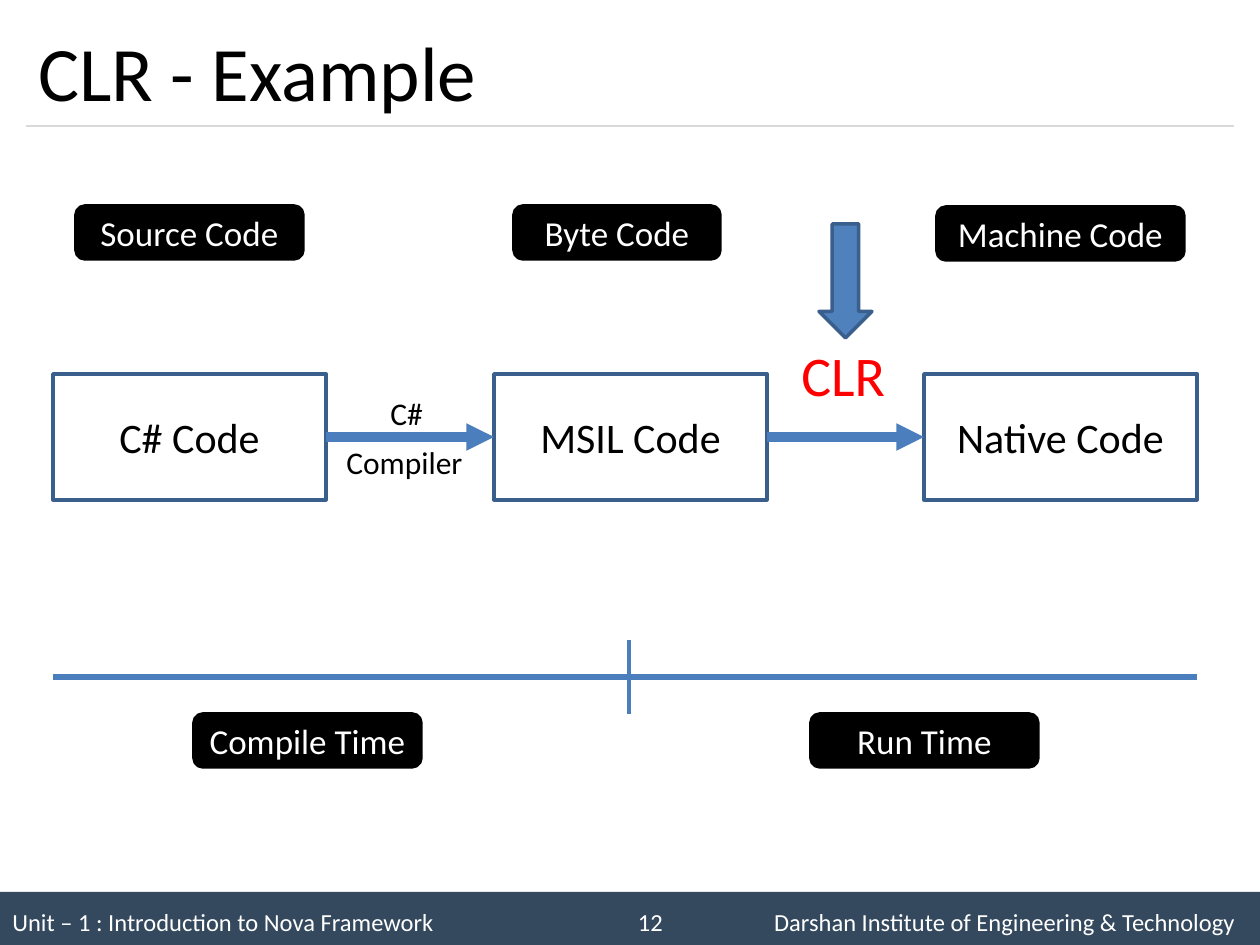
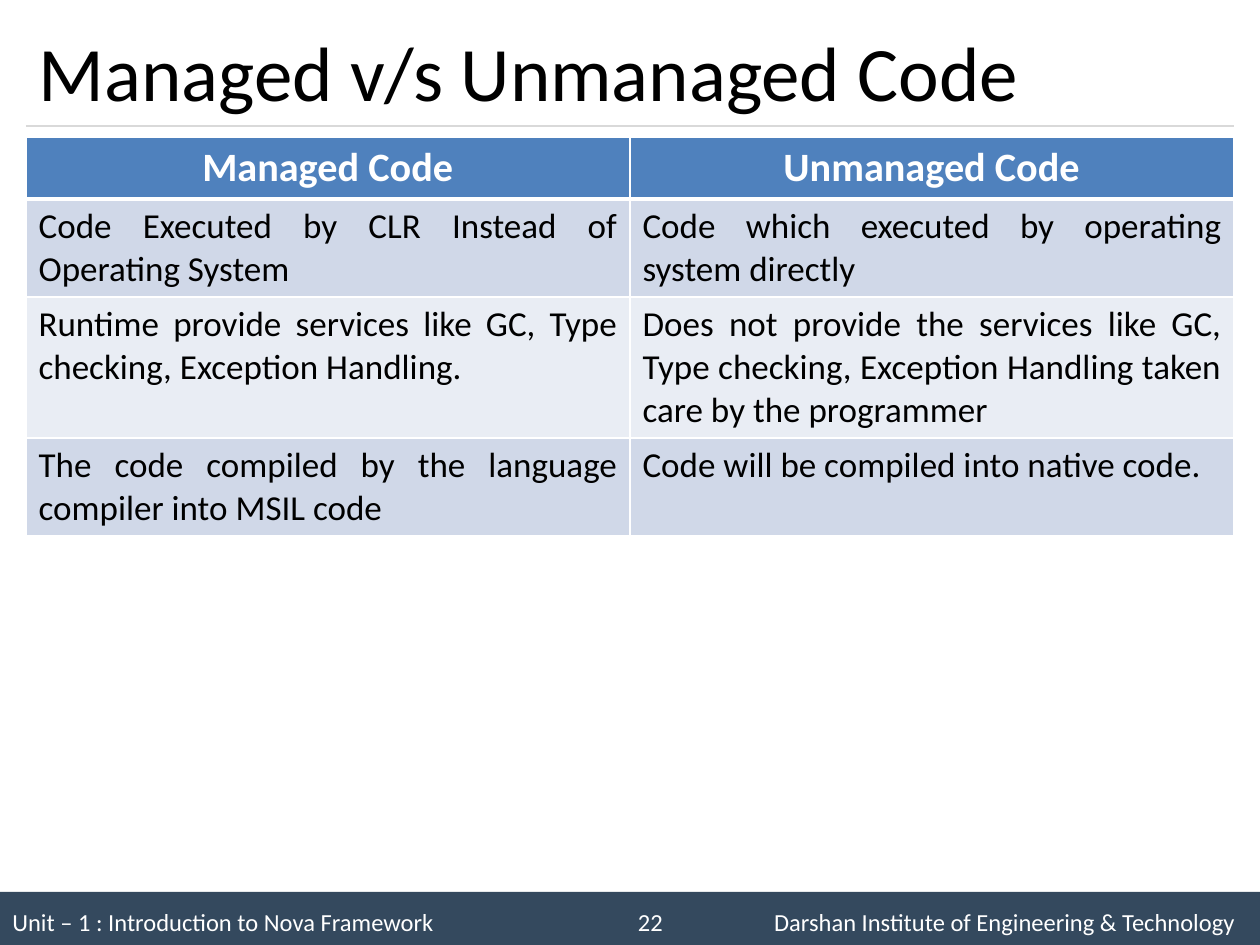
import pptx
import pptx.util
import pptx.dml.color
import pptx.enum.shapes
import pptx.enum.text
import pptx.oxml
import pptx.oxml.ns
from lxml import etree

PX = 914400 // 126  # one px in EMU
RGBColor = pptx.dml.color.RGBColor
BLACK = RGBColor(0x00, 0x00, 0x00)
WHITE = RGBColor(0xFF, 0xFF, 0xFF)
RED = RGBColor(0xFF, 0x00, 0x00)
SLATE = RGBColor(0x34, 0x49, 0x5E)
RULE_GREY = RGBColor(0xD9, 0xD9, 0xD9)
BLUE = RGBColor(0x4F, 0x81, 0xBD)
LINE_BLUE = RGBColor(0x4B, 0x7E, 0xBC)
EDGE_BLUE = RGBColor(0x3A, 0x5F, 0x8C)
BAND_DARK = RGBColor(0xD0, 0xD8, 0xE8)
BAND_LIGHT = RGBColor(0xE9, 0xED, 0xF4)

SHAPE = pptx.enum.shapes.MSO_SHAPE
ALIGN = pptx.enum.text.PP_ALIGN
ANCHOR = pptx.enum.text.MSO_ANCHOR
qn = pptx.oxml.ns.qn


def write_text(frame, text, size, color=BLACK, bold=False, align=ALIGN.LEFT,
               anchor=ANCHOR.TOP, wrap=True, tabs=()):
    frame.word_wrap = wrap
    frame.vertical_anchor = anchor
    para = frame.paragraphs[0]
    para.alignment = align
    if tabs:
        tab_list = etree.SubElement(para._p.get_or_add_pPr(), qn("a:tabLst"))
        for position, kind in tabs:
            etree.SubElement(tab_list, qn("a:tab"), pos=str(position * PX), algn=kind)
    span = para.add_run()
    span.text = text
    span.font.name = "Calibri"
    span.font.size = pptx.util.Pt(size)
    span.font.bold = bold
    span.font.color.rgb = color


def draw_line(slide, start, end, color, width, arrow=False):
    line = slide.shapes.add_connector(
        pptx.enum.shapes.MSO_CONNECTOR.STRAIGHT, *(n * PX for n in start + end))
    line.line.color.rgb = color
    line.line.width = pptx.util.Pt(width)
    if arrow:
        etree.SubElement(line.line._get_or_add_ln(), qn("a:tailEnd"), type="triangle")
    etree.SubElement(line._element.spPr, qn("a:effectLst"))


deck = pptx.Presentation()
deck.slide_width = 1260 * PX
deck.slide_height = 945 * PX

# Shared footer band, title rule and title
pages = []
for number, title in ((12, "CLR - Example"), (22, "Managed v/s Unmanaged Code")):
    page = deck.slides.add_slide(deck.slide_layouts[6])
    footer = page.shapes.add_shape(SHAPE.RECTANGLE, 0, 892 * PX, 1260 * PX, 53 * PX)
    footer.shadow.inherit = False
    footer.fill.solid()
    footer.fill.fore_color.rgb = SLATE
    footer.line.fill.background()
    footer.text_frame.margin_top = 12 * PX
    write_text(footer.text_frame,
               f"Unit – 1 : Introduction to Nova Framework\t{number}"
               "\tDarshan Institute of Engineering & Technology",
               size=14, color=WHITE, anchor=ANCHOR.MIDDLE,
               tabs=((638, "ctr"), (1223, "r")))
    draw_line(page, (26, 126), (1234, 126), RULE_GREY, 0.75)
    heading = page.shapes.add_textbox(26 * PX, 15 * PX, 1208 * PX, 111 * PX)
    write_text(heading.text_frame, title, size=44, anchor=ANCHOR.MIDDLE)
    pages.append(page)
example_page, comparison_page = pages

# Code stages, black badges and the arrow pointing at CLR
code_style = (SHAPE.RECTANGLE, WHITE, EDGE_BLUE, 24, BLACK)
badge_style = (SHAPE.ROUNDED_RECTANGLE, BLACK, BLACK, 20, WHITE)
arrow_style = (SHAPE.DOWN_ARROW, BLUE, EDGE_BLUE, 0, WHITE)
for text, style, left, top, width, height in (
        ("C# Code", code_style, 53, 374, 273, 126),
        ("MSIL Code", code_style, 494, 374, 273, 126),
        ("Native Code", code_style, 924, 374, 273, 126),
        ("Source Code", badge_style, 76, 206, 227, 53),
        ("Byte Code", badge_style, 514, 206, 206, 53),
        ("Machine Code", badge_style, 937, 207, 247, 53),
        ("Compile Time", badge_style, 194, 714, 227, 53),
        ("Run Time", badge_style, 811, 714, 227, 53),
        ("", arrow_style, 819, 224, 53, 114)):
    kind, fill, edge, size, color = style
    box = example_page.shapes.add_shape(
        kind, left * PX, top * PX, width * PX, height * PX)
    box.shadow.inherit = False
    box.fill.solid()
    box.fill.fore_color.rgb = fill
    box.line.color.rgb = edge
    box.line.width = pptx.util.Pt(2)
    if text:
        write_text(box.text_frame, text, size=size, color=color,
                   align=ALIGN.CENTER, anchor=ANCHOR.MIDDLE)

# Arrows between the stages, then the time line with its divider
draw_line(example_page, (326, 437), (494, 437), LINE_BLUE, 5.25, arrow=True)
draw_line(example_page, (767, 437), (924, 437), LINE_BLUE, 5.25, arrow=True)
draw_line(example_page, (53, 677), (1197, 677), LINE_BLUE, 3.25)
draw_line(example_page, (629, 640), (629, 714), LINE_BLUE, 2.75)

# Arrow labels
for text, size, color, left, top, width, height in (
        ("C#", 18, BLACK, 378, 388, 73, 50),
        ("Compiler", 18, BLACK, 334, 437, 149, 50),
        ("CLR", 32, RED, 789, 334, 113, 81)):
    label = example_page.shapes.add_textbox(
        left * PX, top * PX, width * PX, height * PX)
    write_text(label.text_frame, text, size=size, color=color, wrap=False)

# Comparison table
comparison = (
    ("Managed Code", "Unmanaged Code"),
    ("Code Executed by CLR Instead of Operating System",
     "Code which executed by operating system directly"),
    ("Runtime provide services like GC, Type checking, Exception Handling.",
     "Does not provide the services like GC, Type checking, Exception Handling "
     "taken care by the programmer"),
    ("The code compiled by the language compiler into MSIL code",
     "Code will be compiled into native code."),
)
row_heights = (62, 98, 141, 98)
table = comparison_page.shapes.add_table(
    4, 2, 26 * PX, 137 * PX, 1208 * PX, sum(row_heights) * PX).table
for row, texts in enumerate(comparison):
    table.rows[row].height = row_heights[row] * PX
    for column, text in enumerate(texts):
        cell = table.cell(row, column)
        # White borders, thicker under the header
        properties = cell._tc.get_or_add_tcPr()
        for side in ("L", "R", "T", "B"):
            thick = (row, side) in ((0, "B"), (1, "T"))
            border = etree.SubElement(properties, qn(f"a:ln{side}"),
                                      w=str(pptx.util.Pt(3 if thick else 1)))
            paint = etree.SubElement(border, qn("a:solidFill"))
            etree.SubElement(paint, qn("a:srgbClr"), val=str(WHITE))
        cell.fill.solid()
        if row == 0:
            cell.fill.fore_color.rgb = BLUE
            write_text(cell.text_frame, text, size=23, color=WHITE, bold=True,
                       align=ALIGN.CENTER)
        else:
            cell.fill.fore_color.rgb = BAND_DARK if row % 2 else BAND_LIGHT
            write_text(cell.text_frame, text, size=20, align=ALIGN.JUSTIFY)

deck.save("out.pptx")
